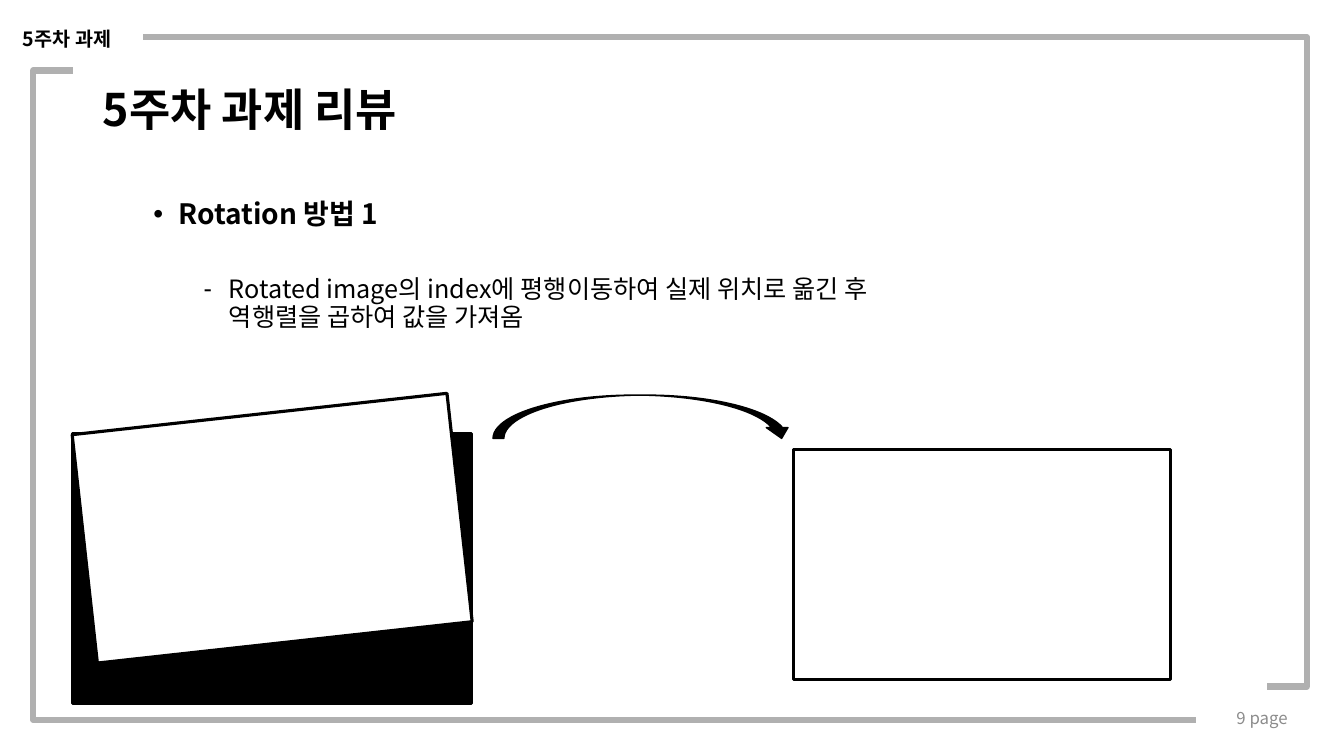
import pptx
import pptx.util
import pptx.dml.color
import pptx.enum.shapes
import pptx.enum.text
import pptx.oxml.ns
from lxml import etree

Inches, Pt = pptx.util.Inches, pptx.util.Pt
RGB = pptx.dml.color.RGBColor
KIND = pptx.enum.shapes.MSO_SHAPE
ALIGN = pptx.enum.text.PP_ALIGN
MIDDLE = pptx.enum.text.MSO_ANCHOR.MIDDLE
FIT = pptx.enum.text.MSO_AUTO_SIZE

BLACK, WHITE = RGB(0, 0, 0), RGB(255, 255, 255)
GREY, MUTED = RGB(0xB0, 0xB0, 0xB0), RGB(0x8C, 0x8C, 0x8C)
FONT = "Noto Sans CJK KR"

TITLE = "5주차 과제 리뷰"
HEADER = "5주차 과제"
PAGE = "9 page"
# text, level, indent, bullet, size, bold, space before
BODY = [
    ("Rotation 방법 1", 1, 0.75, "•", 20, True, 5),
    ("Rotated image의 index에 평행이동하여 실제 위치로 옮긴 후\v역행렬을 곱하여 값을 가져옴",
     2, 1.25, "-", 18, False, 33),
]
# start and end of each half of the frame
FRAME = [(0.72, 0.7, 11.86, 7.14), (12.57, 6.81, 1.42, 0.37)]
# kind, box, rotation, fill, line width
SHAPES = [
    (KIND.RECTANGLE, (0.72, 4.3, 3.96, 2.68), 0, BLACK, 2.25),
    (KIND.RECTANGLE, (7.87, 4.46, 3.74, 2.28), 0, WHITE, 2.25),
    (KIND.RECTANGLE, (0.83, 4.1, 3.74, 2.28), 353.7, WHITE, 2.25),
    (KIND.CURVED_UP_ARROW, (4.89, 3.92, 2.97, 0.43), 0, BLACK, 1),
]


def add(node, tag, **attrs):
    return etree.SubElement(node, pptx.oxml.ns.qn(tag), attrs)


def style(para, size, color=BLACK, bold=False):
    for run in para.runs:
        font = run.font
        font.name, font.size, font.bold = FONT, Pt(size), bold
        font.color.rgb = color
        add(font._element, "a:ea", typeface=FONT)


def place(shape, box):
    shape.left, shape.top, shape.width, shape.height = map(Inches, box)


def label(slide, text, box, size, color, bold=False):
    shape = slide.shapes.add_textbox(*map(Inches, box))
    shape.text_frame.text = text
    style(shape.text_frame.paragraphs[0], size, color, bold)
    return shape.text_frame


def fill_title(shape):
    place(shape, (0.92, 0.62, 11.5, 0.98))
    frame = shape.text_frame
    frame.text, frame.vertical_anchor = TITLE, MIDDLE
    frame.auto_size = FIT.NONE
    para = frame.paragraphs[0]
    para.alignment, para.line_spacing = ALIGN.LEFT, 0.9
    style(para, 32, bold=True)


def fill_body(shape):
    place(shape, (0.92, 1.94, 11.5, 5.03))
    frame = shape.text_frame
    frame.auto_size = FIT.NONE
    for i, (text, level, indent, mark, size, bold, gap) in enumerate(BODY):
        para = frame.add_paragraph() if i else frame.paragraphs[0]
        para.text, para.level = text, level
        para.line_spacing, para.space_before = 0.9, Pt(gap)
        props = para._p.get_or_add_pPr()
        props.set("marL", str(Inches(indent)))
        props.set("indent", str(Inches(-0.25)))
        add(props, "a:buFont", typeface="Arial")
        add(props, "a:buChar", char=mark)
        style(para, size, bold=bold)


def draw_frame(slide):
    for ends in FRAME:
        line = slide.shapes.add_connector(
            pptx.enum.shapes.MSO_CONNECTOR.ELBOW, *map(Inches, ends))
        line.line.color.rgb, line.line.width = GREY, Pt(4.5)
        props = line._element.spPr
        add(props, "a:effectLst")
        guides = props.find(".//" + pptx.oxml.ns.qn("a:avLst"))
        add(guides, "a:gd", name="adj1", fmla="val -3500")


def draw_shapes(slide):
    for kind, box, turn, fill, width in SHAPES:
        shape = slide.shapes.add_shape(kind, *map(Inches, box))
        shape.shadow.inherit = False
        shape.rotation = turn
        shape.fill.solid()
        shape.fill.fore_color.rgb = fill
        shape.line.color.rgb, shape.line.width = BLACK, Pt(width)
        if kind == KIND.CURVED_UP_ARROW:
            shape._element.spPr.xfrm.set("flipV", "1")


def main():
    deck = pptx.Presentation()
    deck.slide_width, deck.slide_height = Inches(13.33), Inches(7.5)
    slide = deck.slides.add_slide(deck.slide_layouts[1])
    fill_title(slide.shapes.title)
    fill_body(slide.placeholders[1])
    page = label(slide, PAGE, (9.87, 6.92, 3, 0.4), 12, MUTED)
    page.word_wrap, page.vertical_anchor = True, MIDDLE
    page.paragraphs[0].alignment = ALIGN.RIGHT
    draw_frame(slide)
    head = label(slide, HEADER, (0.13, 0.22, 1.17, 0.34), 14, BLACK, True)
    head.word_wrap, head.auto_size = False, FIT.SHAPE_TO_FIT_TEXT
    draw_shapes(slide)
    deck.save("out.pptx")


if __name__ == "__main__":
    main()
